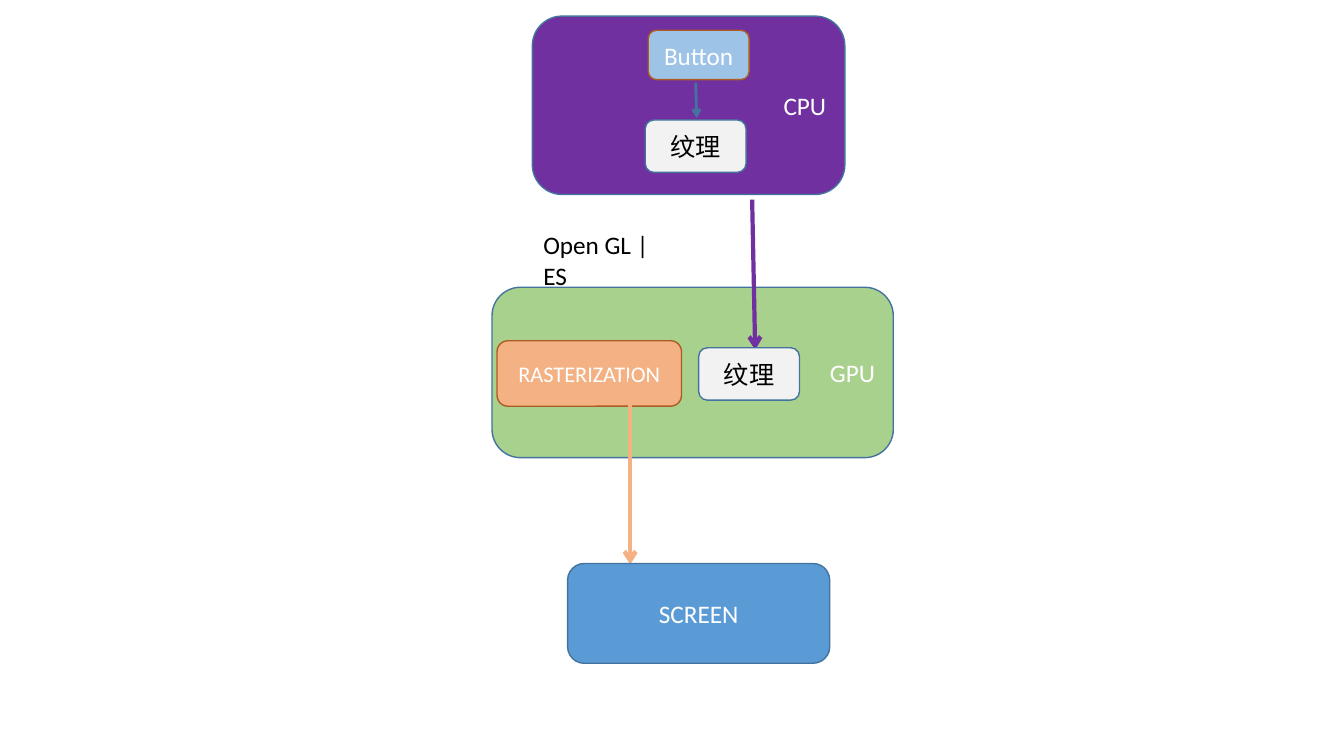
from lxml.etree import SubElement
from pptx import Presentation
from pptx.dml.color import RGBColor
from pptx.enum.shapes import MSO_CONNECTOR as Connector, MSO_SHAPE as Shape
from pptx.enum.text import MSO_ANCHOR as Anchor, MSO_AUTO_SIZE as AutoSize, PP_ALIGN as Align
from pptx.oxml.ns import qn
from pptx.util import Inches, Pt

COLORS = {
    "purple": "7030A0",
    "green": "A9D18E",
    "sky": "9DC3E6",
    "grey": "F2F2F2",
    "orange": "F4B183",
    "blue": "5B9BD5",
    "navy": "43739E",
    "brown": "AF5C24",
    "white": "FFFFFF",
    "black": "000000",
}


def color(name):
    """Return the named colour."""
    return RGBColor.from_string(COLORS[name])


def write(frame, text, ink, size=18, align=Align.CENTER):
    """Put one formatted line of text into a frame."""
    frame.text = text
    para = frame.paragraphs[0]
    para.alignment = align
    font = para.runs[0].font
    font.name = "Calibri"
    font.size = Pt(size)
    font.color.rgb = color(ink)


def add_box(page, text, place, fill, border="navy", ink="white", size=18, align=Align.CENTER):
    """Add a labelled rounded rectangle."""
    box = page.shapes.add_shape(Shape.ROUNDED_RECTANGLE, *map(Inches, place))
    box.shadow.inherit = False
    box.fill.solid()
    box.fill.fore_color.rgb = color(fill)
    box.line.color.rgb = color(border)
    box.line.width = Pt(1)
    box.text_frame.vertical_anchor = Anchor.MIDDLE
    write(box.text_frame, text, ink, size, align)


def add_texture(page, left, top):
    """Add a texture box."""
    add_box(page, "纹理", (left, top, 1, 0.52), "grey", ink="black")


def add_label(page, text, place):
    """Add an unwrapped text box that fits its text."""
    frame = page.shapes.add_textbox(*map(Inches, place)).text_frame
    frame.word_wrap = False
    frame.auto_size = AutoSize.SHAPE_TO_FIT_TEXT
    write(frame, text, "black", align=Align.LEFT)


def add_arrow(page, start, end, stroke, width=3):
    """Add a straight line with an open arrowhead at its end."""
    arrow = page.shapes.add_connector(Connector.STRAIGHT, *map(Inches, start + end))
    arrow.line.color.rgb = color(stroke)
    arrow.line.width = Pt(width)
    SubElement(arrow.line._get_or_add_ln(), qn("a:tailEnd"), type="arrow")
    SubElement(arrow._element.spPr, qn("a:effectLst"))


def main():
    """Build the rendering pipeline slide."""
    deck = Presentation()
    deck.slide_width, deck.slide_height = Inches(13.33), Inches(7.5)
    page = deck.slides.add_slide(deck.slide_layouts[6])

    add_box(page, "CPU", (5.28, 0.16, 3.1, 1.77), "purple", align=Align.RIGHT)
    add_box(page, "GPU", (4.88, 2.85, 3.98, 1.69), "green", align=Align.RIGHT)
    add_box(page, "Button", (6.43, 0.3, 1, 0.49), "sky", border="brown")
    add_texture(page, 6.4, 1.19)
    add_arrow(page, (6.9, 0.82), (6.91, 1.17), "navy", width=2)
    add_label(page, "Open GL | ES", (5.29, 2.23, 1.53, 0.4))
    add_arrow(page, (7.46, 1.98), (7.49, 3.47), "purple")
    add_texture(page, 6.93, 3.45)
    add_box(page, "RASTERIZATION", (4.93, 3.38, 1.83, 0.65), "orange", border="brown", size=16)
    add_arrow(page, (6.25, 3.75), (6.25, 5.6), "orange")
    add_box(page, "SCREEN", (5.63, 5.59, 2.6, 0.99), "blue")

    deck.save("out.pptx")


main()
